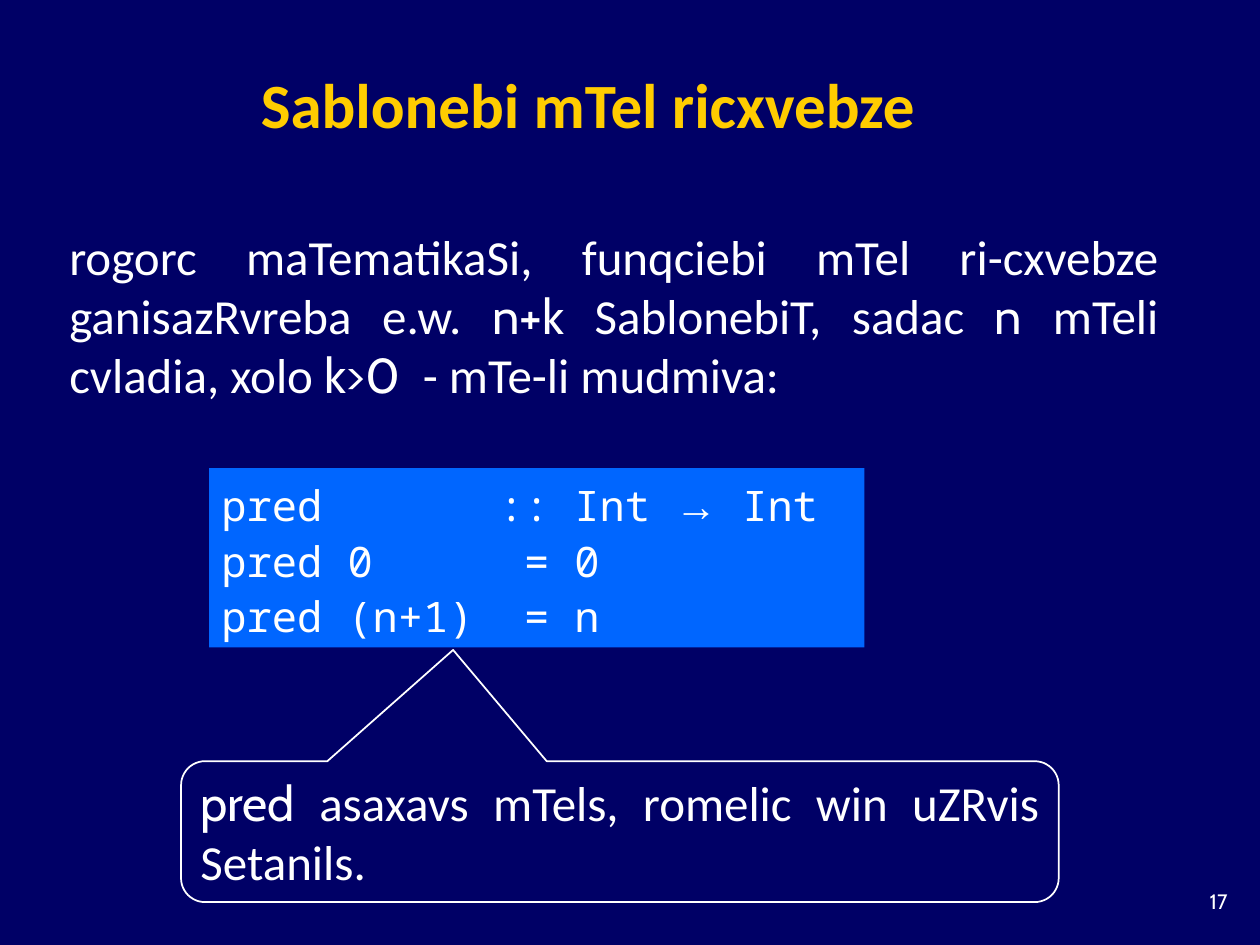
"""Build a slide on n+k patterns over the integers."""
from pptx import Presentation
from pptx.dml.color import RGBColor
from pptx.enum.shapes import MSO_SHAPE as Shape
from pptx.enum.text import MSO_ANCHOR as Anchor, MSO_AUTO_SIZE as Auto, PP_ALIGN as Align
from pptx.util import Pt

WHITE = "FFFFFF"
SANS, ALT, MONO = "Calibri", "Cabin", "Noto Sans Mono"


def paint(fill, color):
    fill.solid()
    fill.fore_color.rgb = RGBColor.from_string(color)


def write(shape, lines, size, align, anchor=Anchor.MIDDLE, color=WHITE, bold=False):
    frame = shape.text_frame
    frame.word_wrap = True
    frame.auto_size = Auto.NONE
    frame.vertical_anchor = anchor
    frame.text = "\n".join("" for line in lines)
    for para, line in zip(frame.paragraphs, lines):
        para.alignment = align
        for text, face in line:
            run = para.add_run()
            run.text = text
            run.font.name = face
            run.font.size = Pt(size)
            run.font.bold = bold
            paint(run.font.fill, color)


deck = Presentation()
deck.slide_width, deck.slide_height = Pt(720), Pt(540)
slide = deck.slides.add_slide(deck.slide_layouts[5])
paint(slide.background.fill, "000066")
shapes = slide.shapes

title = shapes.title
title.left, title.top, title.width, title.height = Pt(30), Pt(30), Pt(612), Pt(54)
write(title, [[("Sablonebi mTel ricxvebze", SANS)]], 36, Align.CENTER,
      Anchor.BOTTOM, "FFCC00", True)

page = shapes.add_textbox(Pt(660), Pt(504), Pt(48.5), Pt(24))
write(page, [[("17", ALT)]], 11.9, Align.RIGHT, Anchor.TOP)

code = shapes.add_shape(Shape.RECTANGLE, Pt(119.5), Pt(267.5), Pt(374.5), Pt(102.5))
code.shadow.inherit = False
paint(code.fill, "0066FF")
code.line.fill.background()
write(code, [
    [("pred       :: Int ", MONO), ("→", "Arial"), (" Int", MONO)],
    [("pred 0      = 0", MONO)],
    [("pred (n+1)  = n", MONO)],
], 24, Align.LEFT)
for para in code.text_frame.paragraphs:
    para.line_spacing = 1.1

intro = shapes.add_textbox(Pt(32.5), Pt(109), Pt(636.5), Pt(142))
write(intro, [[
    ("rogorc maTematikaSi, funqciebi mTel ri-cxvebze ganisazRvreba e.w.", SANS),
    (" n+k ", ALT),
    ("SablonebiT, sadac", SANS),
    (" n ", ALT),
    ("mTeli cvladia, xolo", SANS),
    (" k>0", ALT),
    ("  - mTe-li mudmiva:", SANS),
]], 28, Align.JUSTIFY)

note = shapes.add_shape(Shape.ROUNDED_RECTANGULAR_CALLOUT,
                        Pt(103.5), Pt(435), Pt(501.5), Pt(80.5))
note.shadow.inherit = False
note.fill.background()
paint(note.line.fill, WHITE)
note.line.width = Pt(1)
for spot, value in enumerate((-0.19, -1.29, 0.17)):
    note.adjustments[spot] = value
write(note, [[
    ("pred ", ALT),
    ("asaxavs mTels, romelic win uZRvis Setanils.", SANS),
]], 28, Align.JUSTIFY)

deck.save("out.pptx")
